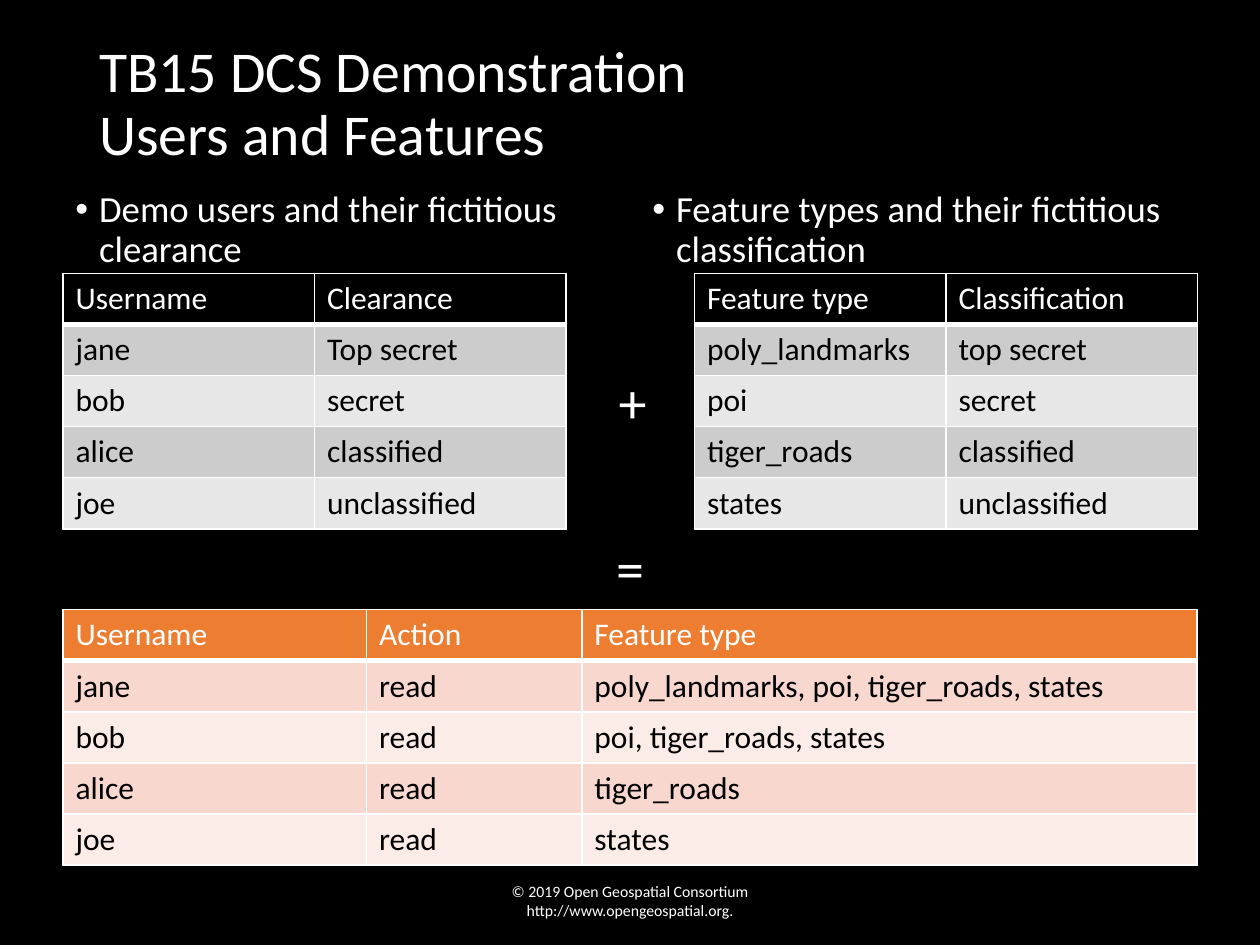
from lxml import etree
from pptx import Presentation
from pptx import util as u
from pptx.dml import color
from pptx.enum import text
from pptx.oxml import ns

FONT = "Calibri"
COLORS = {
    "background": "000000",
    "light": "FFFFFF",
    "dark": "000000",
    "accent": "ED7D31",
    "gray_odd": "CCCCCC",
    "gray_even": "E7E7E7",
    "peach_odd": "F8D7CE",
    "peach_even": "FCECE8",
}
GRAY_SCHEME = ("dark", "gray_odd", "gray_even")
ORANGE_SCHEME = ("accent", "peach_odd", "peach_even")
ROW_HEIGHT = 1.03


def rgb(name):
    return color.RGBColor.from_string(COLORS[name])


def format_runs(paragraph, size, color_name):
    for run in paragraph.runs:
        run.font.name = FONT
        run.font.size = u.Pt(size)
        run.font.color.rgb = rgb(color_name)


def add_text(slide, box, content, size, wrap=True, anchor=text.MSO_ANCHOR.TOP):
    shape = slide.shapes.add_textbox(*(u.Cm(length) for length in box))
    frame = shape.text_frame
    frame.word_wrap = wrap
    frame.vertical_anchor = anchor
    frame.text = content
    paragraph = frame.paragraphs[0]
    format_runs(paragraph, size, "light")
    return paragraph


def add_title(slide, box):
    paragraph = add_text(slide, box, "TB15 DCS Demonstration\vUsers and Features",
                         33, anchor=text.MSO_ANCHOR.MIDDLE)
    paragraph.line_spacing = 0.9


def add_bullet(slide, box, content):
    paragraph = add_text(slide, box, content, 21)
    properties = paragraph._p.get_or_add_pPr()
    indent = u.Cm(0.48)
    properties.set("marL", str(indent))
    properties.set("indent", str(-indent))
    etree.SubElement(properties, ns.qn("a:buFont"), typeface="Arial")
    etree.SubElement(properties, ns.qn("a:buChar"), char="•")
    paragraph.line_spacing = 0.9


def add_footer(slide, box):
    paragraph = add_text(
        slide, box,
        "© 2019 Open Geospatial Consortium http://www.opengeospatial.org.",
        9, anchor=text.MSO_ANCHOR.MIDDLE)
    paragraph.alignment = text.PP_ALIGN.CENTER


def set_borders(cell, bottom_width):
    properties = cell._tc.get_or_add_tcPr()
    for side, width in (("L", 1), ("R", 1), ("T", 1), ("B", bottom_width)):
        line = etree.SubElement(properties, ns.qn("a:ln" + side), w=str(u.Pt(width)))
        fill = etree.SubElement(line, ns.qn("a:solidFill"))
        etree.SubElement(fill, ns.qn("a:srgbClr"), val=COLORS["light"])


def add_data_table(slide, left, top, widths, rows, scheme):
    header, odd, even = scheme
    table = slide.shapes.add_table(
        len(rows), len(widths), u.Cm(left), u.Cm(top),
        u.Cm(sum(widths)), u.Cm(ROW_HEIGHT * len(rows))).table
    for column, width in zip(table.columns, widths):
        column.width = u.Cm(width)
    for row_index, values in enumerate(rows):
        is_header = row_index == 0
        fill_name = header if is_header else odd if row_index % 2 else even
        for column_index, value in enumerate(values):
            cell = table.cell(row_index, column_index)
            set_borders(cell, 3 if is_header else 1)
            cell.fill.solid()
            cell.fill.fore_color.rgb = rgb(fill_name)
            cell.text_frame.text = value
            format_runs(cell.text_frame.paragraphs[0], 18,
                        "light" if is_header else "dark")


def build_slide(presentation):
    slide = presentation.slides.add_slide(presentation.slide_layouts[6])
    slide.background.fill.solid()
    slide.background.fill.fore_color.rgb = rgb("background")

    clearances = [
        ("Username", "Clearance"),
        ("jane", "Top secret"),
        ("bob", "secret"),
        ("alice", "classified"),
        ("joe", "unclassified"),
    ]
    classifications = [
        ("Feature type", "Classification"),
        ("poly_landmarks", "top secret"),
        ("poi", "secret"),
        ("tiger_roads", "classified"),
        ("states", "unclassified"),
    ]
    permissions = [
        ("Username", "Action", "Feature type"),
        ("jane", "read", "poly_landmarks, poi, tiger_roads, states"),
        ("bob", "read", "poi, tiger_roads, states"),
        ("alice", "read", "tiger_roads"),
        ("joe", "read", "states"),
    ]

    add_title(slide, (1.75, 0.28, 21.9, 3.68))
    add_footer(slide, (8.41, 17.65, 8.58, 1.02))
    for bullet_left, table_left, content, rows in (
        (1.27, 1.27, "Demo users and their fictitious clearance", clearances),
        (12.9, 14, "Feature types and their fictitious classification", classifications),
    ):
        add_bullet(slide, (bullet_left, 3.73, 11.23, 1.78), content)
        add_data_table(slide, table_left, 5.51, (5.07, 5.07), rows, GRAY_SCHEME)
    add_data_table(slide, 1.27, 12.29, (6.12, 4.34, 12.4), permissions, ORANGE_SCHEME)
    add_text(slide, (12.17, 10.64, 1.09, 1.63), "=", 32, wrap=False)
    add_text(slide, (12.22, 7.29, 0.94, 1.63), "+", 32)


def main():
    presentation = Presentation()
    presentation.slide_width = u.Cm(25.4)
    presentation.slide_height = u.Cm(19.05)
    build_slide(presentation)
    presentation.save("out.pptx")


if __name__ == "__main__":
    main()
